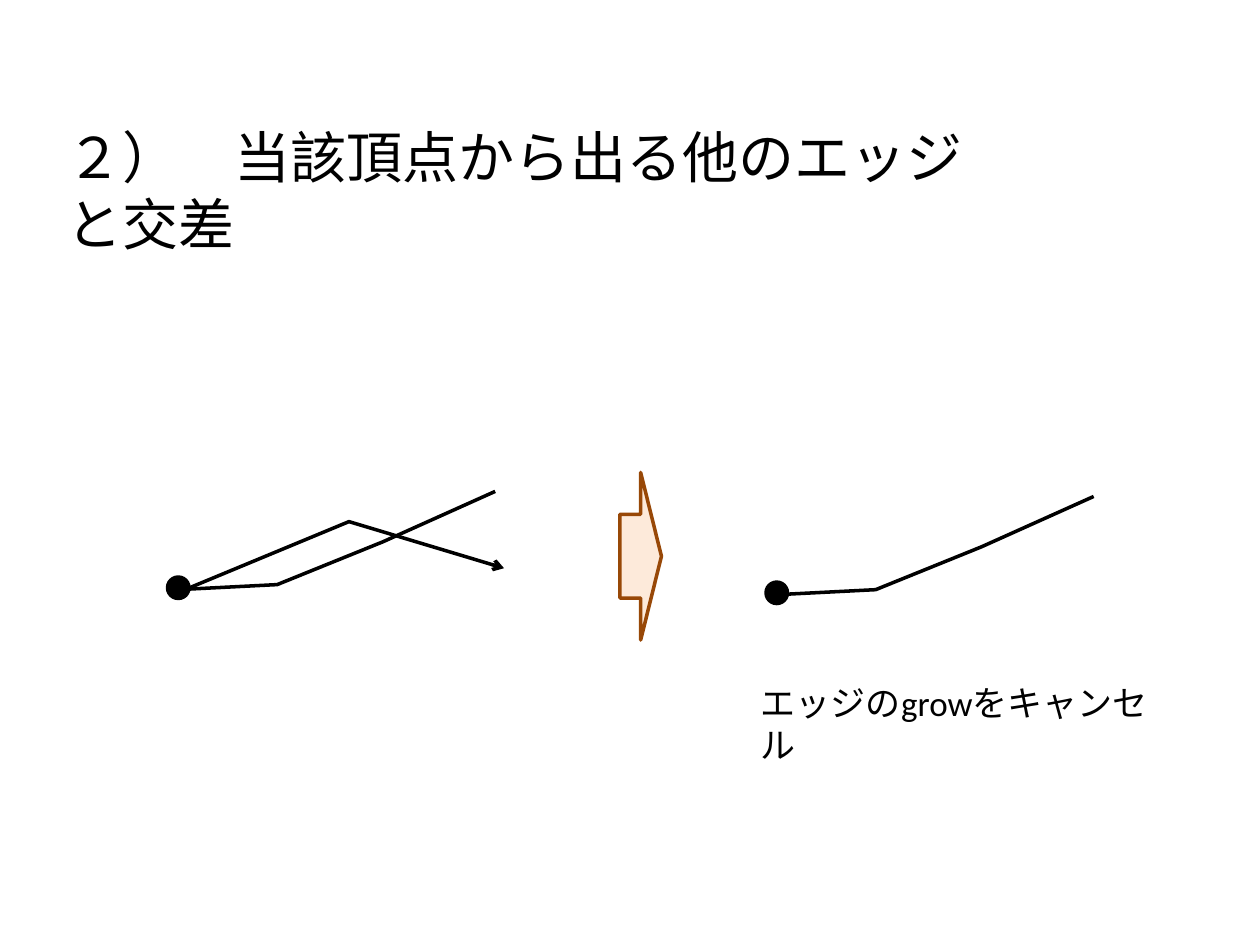
from lxml import etree
from pptx import Presentation
from pptx import util as u
from pptx.dml.color import RGBColor
from pptx.enum import shapes, text
from pptx.oxml import ns

PX = 9144
BLACK = "000000"
EDGE_STEPS = [(8, 10), (87, 6), (171, -28), (260, -68)]
GROWING_EDGE = [(142, 470), (277, 414), (400, 451)]


def px(length):
    """Turn px into EMU."""
    return u.Emu(length * PX)


def paint(target, color):
    """Give a fill a solid colour."""
    target.solid()
    target.fore_color.rgb = RGBColor.from_string(color)


def outline(figure, color):
    """Give a figure a plain 2 pt outline."""
    figure.shadow.inherit = False
    paint(figure.line.fill, color)
    figure.line.width = u.Pt(2)


def add_caption(slide, wording, box, size):
    """Add a wrapped caption in a box."""
    caption = slide.shapes.add_textbox(*map(px, box))
    frame = caption.text_frame
    frame_format = {
        "word_wrap": True,
        "auto_size": text.MSO_AUTO_SIZE.SHAPE_TO_FIT_TEXT,
        "vertical_anchor": text.MSO_ANCHOR.TOP,
    }
    for name, value in frame_format.items():
        setattr(frame, name, value)
    run = frame.paragraphs[0].add_run()
    run.text = wording
    for name, value in {"name": "Calibri", "size": u.Pt(size)}.items():
        setattr(run.font, name, value)
    paint(run.font.fill, BLACK)


def add_figure(slide, preset, box, fill, line):
    """Add a filled preset shape."""
    figure = slide.shapes.add_shape(preset, *map(px, box))
    paint(figure.fill, fill)
    outline(figure, line)


def add_edge(slide, points, arrow=False):
    """Add an open polyline, with an arrowhead at its end if asked."""
    start, *rest = [(px(x), px(y)) for x, y in points]
    builder = slide.shapes.build_freeform(*start)
    builder.add_line_segments(rest, close=False)
    edge = builder.convert_to_shape()
    edge.fill.background()
    outline(edge, BLACK)
    if arrow:
        etree.SubElement(edge.line.fill._xPr, ns.qn("a:tailEnd"), type="arrow")


def add_vertex_with_edge(slide, left, top):
    """Add a vertex and the existing edge that leaves it."""
    add_figure(slide, shapes.MSO_SHAPE.OVAL, (left, top, 17, 17), BLACK, BLACK)
    add_edge(slide, [(left + dx, top + dy) for dx, dy in EDGE_STEPS])


def main():
    """Build the slide and save it."""
    deck = Presentation()
    deck.slide_width, deck.slide_height = px(1000), px(750)
    slide = deck.slides.add_slide(deck.slide_layouts[6])
    add_caption(slide, "２）　当該頂点から出る他のエッジと交差", (43, 92, 775, 64), 32)
    add_figure(slide, shapes.MSO_SHAPE.RIGHT_ARROW, (492, 375, 33, 133), "FDEADA", "984807")
    add_vertex_with_edge(slide, 133, 458)
    add_edge(slide, GROWING_EDGE, arrow=True)
    add_vertex_with_edge(slide, 608, 462)
    add_caption(slide, "エッジのgrowをキャンセル", (594, 536, 328, 44), 20)
    deck.save("out.pptx")


if __name__ == "__main__":
    main()
